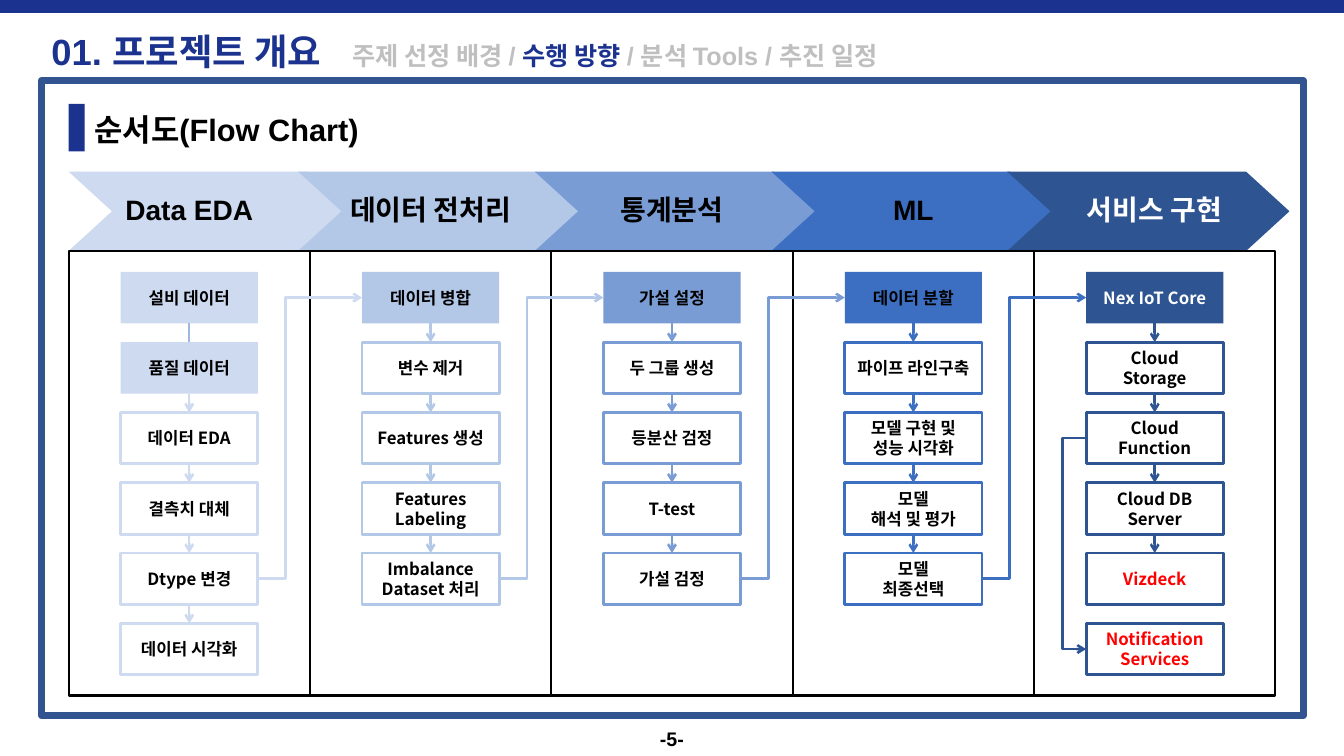
from lxml import etree
from pptx import Presentation
from pptx.dml.color import RGBColor
from pptx.enum import shapes, text
from pptx.oxml import ns
from pptx.util import Pt

NAVY, BLACK, WHITE, RED, GREY = "1B328F", "000000", "FFFFFF", "FF0000", "BFBFBF"
LATIN, KOREAN = "Arial", "Noto Sans CJK KR"

TITLE_RUNS = [
    ("01. 프로젝트 개요\t", 26, NAVY),
    ("주제 선정 배경 / ", 18, GREY),
    ("수행 방향 ", 18, NAVY),
    ("/ 분석 Tools / 추진 일정", 18, GREY),
]
SECTION = "순서도(Flow Chart)"
PAGE = "-5-"

# Stage name, colour, text colour, arrow left edge, number of filled boxes, steps
STAGES = [
    ("Data EDA", "CDDAEF", BLACK, 49, 2,
     ["설비 데이터", "품질 데이터", "데이터 EDA", "결측치 대체", "Dtype 변경", "데이터 시각화"]),
    ("데이터 전처리", "B3C7E7", BLACK, 213, 1,
     ["데이터 병합", "변수 제거", "Features 생성", "Features\nLabeling", "Imbalance\nDataset 처리"]),
    ("통계분석", "799CD5", BLACK, 382, 1,
     ["가설 설정", "두 그룹 생성", "등분산 검정", "T-test", "가설 검정"]),
    ("ML", "3C6FC2", BLACK, 551, 1,
     ["데이터 분할", "파이프 라인구축", "모델 구현 및\n성능 시각화", "모델\n해석 및 평가", "모델\n최종선택"]),
    ("서비스 구현", "2E5492", WHITE, 719.5, 1,
     ["Nex IoT Core", "Cloud\nStorage", "Cloud\nFunction", "Cloud DB\nServer", "Vizdeck",
      "Notification\nServices"]),
]
RED_STEPS = ("Vizdeck", "Notification\nServices")
PLAIN_LINK = ("설비 데이터", "품질 데이터")
EXIT_ROW = 4      # the row that leads on to the next stage
FUNCTION_ROW = 2  # the row that also leads to the notification box

COLUMN_LEFT, COLUMN_TOP, COLUMN_WIDTH, COLUMN_HEIGHT = 49, 179.3, 172.4, 317.5
BOX_TOP, BOX_WIDTH, BOX_HEIGHT, ROW_STEP = 194.2, 98, 36.8, 50.2
ARROW_TOP, ARROW_WIDTH, ARROW_HEIGHT = 122.6, 201.6, 56.7

presentation = Presentation()
presentation.slide_width, presentation.slide_height = Pt(960), Pt(540)
slide = presentation.slides.add_slide(presentation.slide_layouts[5])


def rgb(color):
    return RGBColor.from_string(color)


def style_run(run, size, color, font=LATIN):
    run.font.size, run.font.bold, run.font.name = Pt(size), True, font
    run.font.color.rgb = rgb(color)
    east_asian = etree.SubElement(run._r.get_or_add_rPr(), ns.qn("a:ea"))
    east_asian.set("typeface", KOREAN)


def write(shape, content, size, color, font=LATIN, align=text.PP_ALIGN.CENTER):
    frame = shape.text_frame
    frame.word_wrap = True
    frame.vertical_anchor = text.MSO_ANCHOR.MIDDLE
    frame.text = content
    for paragraph in frame.paragraphs:
        paragraph.alignment = align
        for run in paragraph.runs:
            style_run(run, size, color, font)


def add_label(content, left, top, width, height, size, color, **options):
    label = slide.shapes.add_textbox(Pt(left), Pt(top), Pt(width), Pt(height))
    write(label, content, size, color, **options)


def add_block(left, top, width, height, fill=None, line=None, weight=1.5,
              kind=shapes.MSO_SHAPE.RECTANGLE):
    shape = slide.shapes.add_shape(kind, Pt(left), Pt(top), Pt(width), Pt(height))
    shape.shadow.inherit = False
    if fill:
        shape.fill.solid()
        shape.fill.fore_color.rgb = rgb(fill)
    else:
        shape.fill.background()
    if line:
        shape.line.color.rgb = rgb(line)
        shape.line.width = Pt(weight)
    else:
        shape.line.fill.background()
    return shape


def add_link(kind, color, start=(0, 0), end=(0, 0), arrow=True):
    link = slide.shapes.add_connector(kind, *(Pt(value) for value in (*start, *end)))
    link.line.color.rgb = rgb(color)
    link.line.width = Pt(1.75)
    if arrow:
        tail = etree.SubElement(link.line._get_or_add_ln(), ns.qn("a:tailEnd"))
        tail.set("type", "arrow")
    etree.SubElement(link._element.spPr, ns.qn("a:effectLst"))
    return link


def glue(link, first, first_site, second, second_site):
    link.begin_connect(first, first_site)
    link.end_connect(second, second_site)


# Stage arrows, each overlapping the one before
for name, color, text_color, left, filled, steps in STAGES:
    arrow = add_block(left, ARROW_TOP, ARROW_WIDTH, ARROW_HEIGHT, color,
                      kind=shapes.MSO_SHAPE.NOTCHED_RIGHT_ARROW)
    arrow.adjustments[0], arrow.adjustments[1] = 1, 0.547

# Title with its breadcrumb
title = slide.shapes.title
title.left, title.top, title.width, title.height = Pt(29.5), Pt(15.1), Pt(901.4), Pt(42.5)
title.text_frame.auto_size = text.MSO_AUTO_SIZE.NONE
title.text_frame.vertical_anchor = text.MSO_ANCHOR.MIDDLE
paragraph = title.text_frame.paragraphs[0]
paragraph.alignment = text.PP_ALIGN.LEFT
tab_list = etree.SubElement(paragraph._p.get_or_add_pPr(), ns.qn("a:tabLst"))
etree.SubElement(tab_list, ns.qn("a:tab"), pos=str(Pt(215)), algn="l")
for content, size, color in TITLE_RUNS:
    run = paragraph.add_run()
    run.text = content
    style_run(run, size, color)

# Frame, top band, section heading and page number
add_block(29.5, 57.6, 901.4, 453.6, line="325491", weight=5)
add_block(0, 0, 960, 9.2, NAVY)
add_block(49, 74.2, 11.5, 34, NAVY)
add_label(SECTION, 60.5, 75, 870, 34, 22, BLACK, align=text.PP_ALIGN.LEFT)
add_label(PAGE, 372, 514.8, 216, 25.2, 14, BLACK)

# Stage columns with their steps
exit_box = exit_color = None
for index, (name, color, text_color, left, filled, steps) in enumerate(STAGES):
    column_left = COLUMN_LEFT + index * COLUMN_WIDTH
    box_left = column_left + (COLUMN_WIDTH - BOX_WIDTH) / 2
    add_block(column_left, COLUMN_TOP, COLUMN_WIDTH, COLUMN_HEIGHT, line=BLACK)
    add_label(name, column_left, 132.5, COLUMN_WIDTH, 34, 20, text_color)

    boxes = []
    for row, step in enumerate(steps):
        solid = row < filled
        box = add_block(box_left, BOX_TOP + row * ROW_STEP, BOX_WIDTH, BOX_HEIGHT,
                        fill=color if solid else None,
                        line=None if solid else color, weight=2)
        step_color = RED if step in RED_STEPS else text_color if solid else BLACK
        write(box, step, 12, step_color, KOREAN)
        plain = tuple(steps[row - 1:row + 1]) == PLAIN_LINK
        if boxes and step != RED_STEPS[-1]:
            link = add_link(shapes.MSO_CONNECTOR.STRAIGHT, "A0B8E0" if plain else color,
                            arrow=not plain)
            glue(link, boxes[-1], 2, box, 0)
        boxes.append(box)

    # Step from the previous stage into this one
    if exit_box:
        link = add_link(shapes.MSO_CONNECTOR.ELBOW, exit_color)
        glue(link, exit_box, 3, boxes[0], 1)
        guides = link._element.spPr.prstGeom.get_or_add_avLst()
        etree.SubElement(guides, ns.qn("a:gd"), name="adj1", fmla="val 26600")
    exit_box, exit_color = boxes[EXIT_ROW], color

# Loop from the function box to the notification box, 18 pt out to the left
function_y = BOX_TOP + FUNCTION_ROW * ROW_STEP + BOX_HEIGHT / 2
notification_y = BOX_TOP + (len(steps) - 1) * ROW_STEP + BOX_HEIGHT / 2
loop = add_link(shapes.MSO_CONNECTOR.ELBOW, color, (box_left + 1, function_y),
                (box_left, notification_y))
guides = loop._element.spPr.prstGeom.get_or_add_avLst()
etree.SubElement(guides, ns.qn("a:gd"), name="adj1", fmla="val 1800000")

presentation.save("out.pptx")
